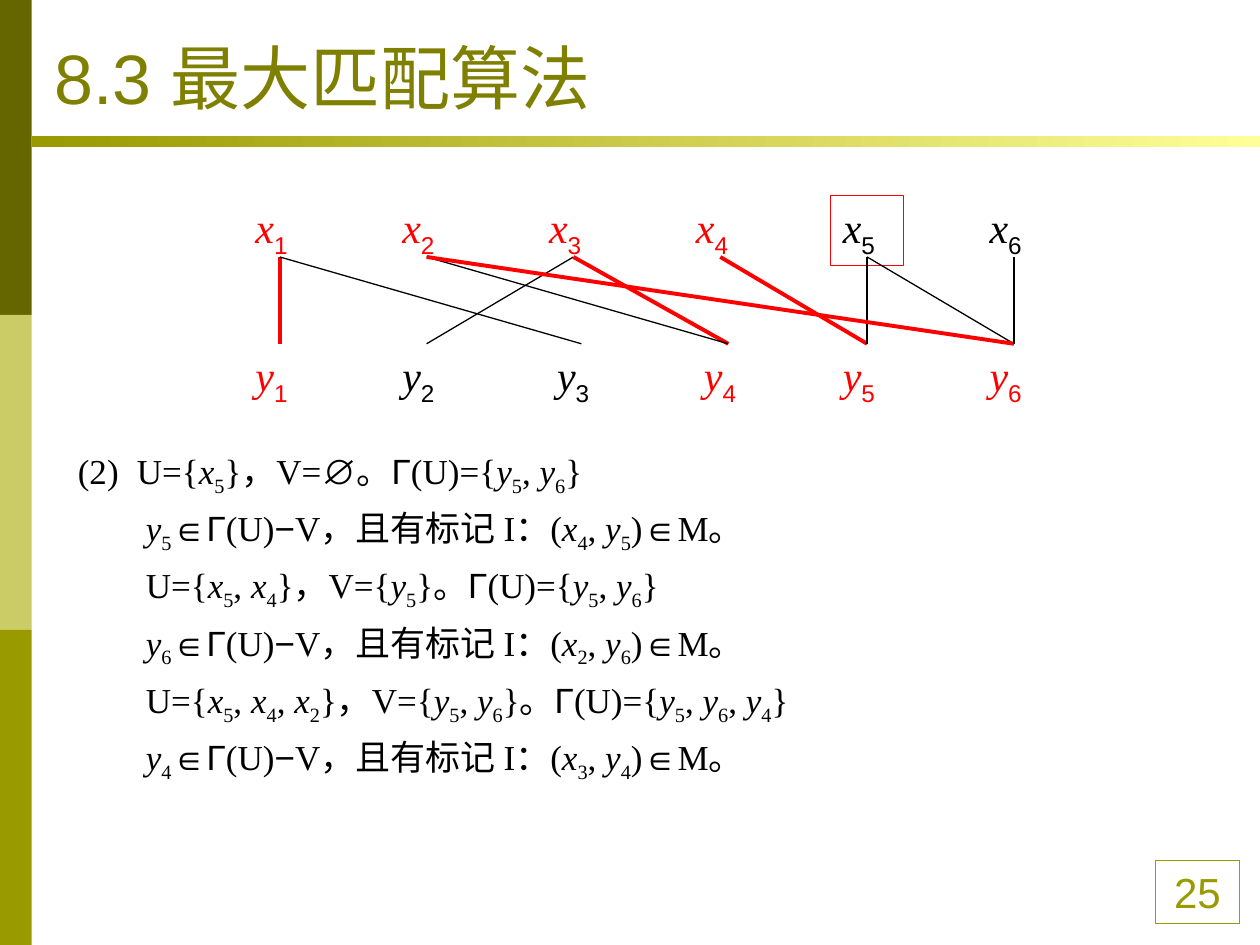
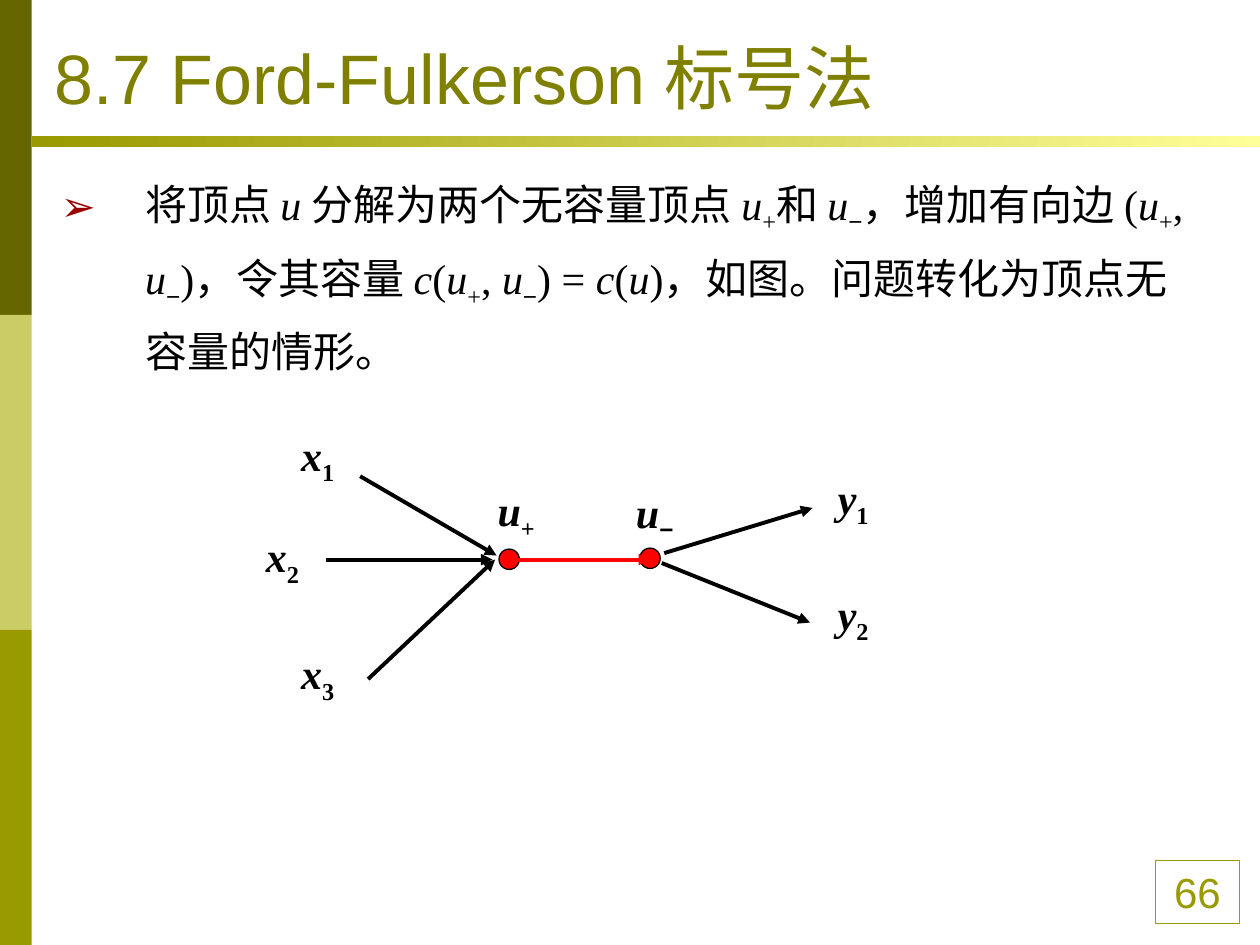
import itertools

import pptx
import pptx.dml.color
import pptx.enum.shapes
import pptx.enum.text
import pptx.oxml.ns
import pptx.util
from lxml import etree

Cm, Pt = pptx.util.Cm, pptx.util.Pt
Kind = pptx.enum.shapes.MSO_SHAPE
Align = pptx.enum.text.PP_ALIGN
Anchor = pptx.enum.text.MSO_ANCHOR
Fit = pptx.enum.text.MSO_AUTO_SIZE
qn = pptx.oxml.ns.qn

# Shared colours and fonts
BLACK, RED, OLIVE, PALE = "000000", "FF0000", "999900", "FFFF99"
DARK, LIGHT, HEAD, MAROON = "666600", "CCCC66", "808000", "990000"
SANS, SERIF = "Arial", "Times New Roman"
MATH = "∅Γ∈−"


def tint(code):
    return pptx.dml.color.RGBColor.from_string(code)


def put(item, **values):
    for name, value in values.items():
        setattr(item, name, value)


def split(text, sub):
    """Yield (char, italic, low, face); '/' slants and '_' lowers the next char."""
    mark = ""
    for char in text:
        if char in "/_":
            mark = char
            continue
        low = mark == "_"
        face = SANS if char in MATH else sub if low else SERIF
        yield char, mark == "/", low, face
        mark = ""


class Page:
    def __init__(self, deck):
        self.deck = deck
        self.slide = None

    def start(self, layout, title, number):
        self.slide = self.deck.slides.add_slide(self.deck.slide_layouts[layout])
        # Side bands, rule under the title, page number
        for row, hue in enumerate((DARK, LIGHT, OLIVE)):
            self.shape((0, 6.35 * row, 0.64, 6.35), fill=hue)
        rule = self.shape((0.64, 2.74, 24.76, 0.23))
        rule.fill.gradient()
        rule.fill.gradient_angle = 0
        for stop, hue in zip(rule.fill.gradient_stops, (OLIVE, PALE)):
            stop.color.rgb = tint(hue)
        badge = self.shape((23.29, 17.35, 1.7, 1.27), line=OLIVE)
        par = badge.text_frame.paragraphs[0]
        par.alignment = Align.CENTER
        self.plain(par, str(number), 24, OLIVE)
        # Title
        head = self.slide.shapes.title
        self.move(head, (0.84, 0.33, 22.86, 2.18))
        put(head.text_frame, vertical_anchor=Anchor.BOTTOM, auto_size=Fit.NONE)
        par = head.text_frame.paragraphs[0]
        par.alignment = Align.LEFT
        self.plain(par, title, 40, HEAD)

    def move(self, item, box):
        put(item, **dict(zip(("left", "top", "width", "height"), map(Cm, box))))

    def shape(self, box, fill=None, line=None, kind=Kind.RECTANGLE):
        item = self.slide.shapes.add_shape(kind, *map(Cm, box))
        item.shadow.inherit = False
        if fill:
            item.fill.solid()
            item.fill.fore_color.rgb = tint(fill)
        else:
            item.fill.background()
        if line:
            item.line.color.rgb = tint(line)
            item.line.width = Pt(0.75)
        else:
            item.line.fill.background()
        return item

    def dot(self, left, top):
        self.shape((left, top, 0.41, 0.41), RED, BLACK, Kind.OVAL)

    def plain(self, par, text, size, hue):
        run = par.add_run()
        run.text = text
        put(run.font, name=SANS, size=Pt(size))
        run.font.color.rgb = tint(hue)

    def maths(self, par, text, size, hue=BLACK, bold=False, sub=SERIF):
        parts = itertools.groupby(split(text, sub), key=lambda part: part[1:])
        for (slant, low, face), chars in parts:
            run = par.add_run()
            run.text = "".join(part[0] for part in chars)
            put(run.font, name=face, size=Pt(size), bold=bold, italic=slant)
            run.font.color.rgb = tint(hue)
            if low:
                run._r.get_or_add_rPr().set("baseline", "-25000")

    def text(self, box):
        frame = self.slide.shapes.add_textbox(*map(Cm, box)).text_frame
        put(frame, word_wrap=True, auto_size=Fit.NONE)
        return frame

    def label(self, left, top, text, width=1.8, **style):
        frame = self.text((left, top, width, 1.42))
        self.maths(frame.paragraphs[0], text, 24, **style)

    def hang(self, par, left, first):
        props = par._p.get_or_add_pPr()
        props.set("marL", str(Cm(left)))
        props.set("indent", str(Cm(first)))
        return props

    def line(self, ends, hue=BLACK, width=2.25, arrow=False):
        item = self.slide.shapes.add_connector(
            pptx.enum.shapes.MSO_CONNECTOR.STRAIGHT, *map(Cm, ends))
        item.line.color.rgb = tint(hue)
        item.line.width = Pt(width)
        props = item._element.spPr
        if arrow:
            etree.SubElement(props.find(qn("a:ln")), qn("a:tailEnd"), type="triangle")
        etree.SubElement(props, qn("a:effectLst"))


def match(page):
    page.start(5, "8.3 最大匹配算法", 25)

    # Derivation steps
    def mark(x, y):
        return f"/y_{y}∈Γ(U)−V，且有标记 I：(/x_{x}, /y_{y})∈M。"

    steps = (
        "(2)\tU={/x_5}，V=∅。Γ(U)={/y_5, /y_6}",
        mark(4, 5),
        "U={/x_5, /x_4}，V={/y_5}。Γ(U)={/y_5, /y_6}",
        mark(2, 6),
        "U={/x_5, /x_4, /x_2}，V={/y_5, /y_6}。Γ(U)={/y_5, /y_6, /y_4}",
        mark(3, 4),
    )
    frame = page.text((0.99, 8.74, 23.95, 7.21))
    for row, step in enumerate(steps):
        par = frame.add_paragraph() if row else frame.paragraphs[0]
        page.hang(par, *((1.7, 0) if row else (1.52, -1.19)))
        par.line_spacing = 1.2
        page.maths(par, step, 20)

    # Vertices of the bipartite graph
    gap, high, low = 2.96, 3.94, 6.93
    shift = {3: 0.16, 4: 0.16}
    page.shape((4.9 + 4 * gap, high, 1.47, 1.42), line=RED)
    for col in range(1, 7):
        left = 4.9 + gap * (col - 1)
        page.label(left, high, f"/x_{col}", 1.47, sub=SANS,
                   hue=RED if col < 5 else BLACK)
        page.label(left + shift.get(col, 0), low, f"/y_{col}", 1.47, sub=SANS,
                   hue=BLACK if col in (2, 3) else RED)

    # Edges (x, y); the matching is red
    pairs = {(1, 1), (3, 4), (4, 5), (2, 6)}
    edges = ((3, 2), (5, 6), (1, 1), (1, 3), (3, 4),
             (2, 4), (4, 5), (5, 5), (2, 6), (6, 6))
    for x, y in edges:
        ends = (5.64 + gap * (x - 1), 5.18,
                5.64 + gap * (y - 1) + shift.get(y, 0), low)
        if (x, y) in pairs:
            page.line(ends, RED)
        else:
            page.line(ends, width=0.75)


def flow(page):
    page.start(1, "8.7 Ford-Fulkerson 标号法", 66)
    # Explanation
    body = page.slide.placeholders[1]
    page.move(body, (0.97, 3.12, 23.6, 4.6))
    body.text_frame.auto_size = Fit.NONE
    par = body.text_frame.paragraphs[0]
    put(par, line_spacing=1.3, space_before=Pt(0))
    props = page.hang(par, 1.7, -1.7)
    hue = etree.SubElement(props, qn("a:buClr"))
    etree.SubElement(hue, qn("a:srgbClr"), val=MAROON)
    etree.SubElement(props, qn("a:buChar"), char="➢")
    page.maths(par, "将顶点 /u 分解为两个无容量顶点 /u_+和 /u_−，增加有向边 "
               "(/u_+, /u_−)，令其容量 /c(/u_+, /u_−) = /c(/u)，"
               "如图。问题转化为顶点无容量的情形。", 24)

    # Arcs into u+ and out of u−
    arcs = (
        (6.58, 11.28, 9.93, 11.28),
        (7.42, 13.69, 9.98, 11.28),
        (7.26, 9.6, 10.01, 11.2),
        (13.34, 11.35, 16.33, 12.55),
        (13.39, 11.15, 16.38, 10.24),
    )
    for ends in arcs:
        page.line(ends, arrow=True)

    # The split vertex
    page.dot(12.9, 11.05)
    page.dot(10.06, 11.07)
    page.line((10.29, 11.28, 13.11, 11.28), RED, arrow=True)

    # Vertex names
    names = (
        (5.82, 8.53, "/x_1"), (5.11, 10.57, "/x_2"), (5.82, 12.93, "/x_3"),
        (9.78, 9.65, "/u_+"), (12.57, 9.68, "/u_−"),
        (16.64, 9.4, "/y_1"), (16.64, 11.73, "/y_2"),
    )
    for left, top, name in names:
        page.label(left, top, name, bold=True)


def main():
    deck = pptx.Presentation()
    put(deck, slide_width=Cm(25.4), slide_height=Cm(19.05))
    page = Page(deck)
    match(page)
    flow(page)
    deck.save("out.pptx")


if __name__ == "__main__":
    main()
